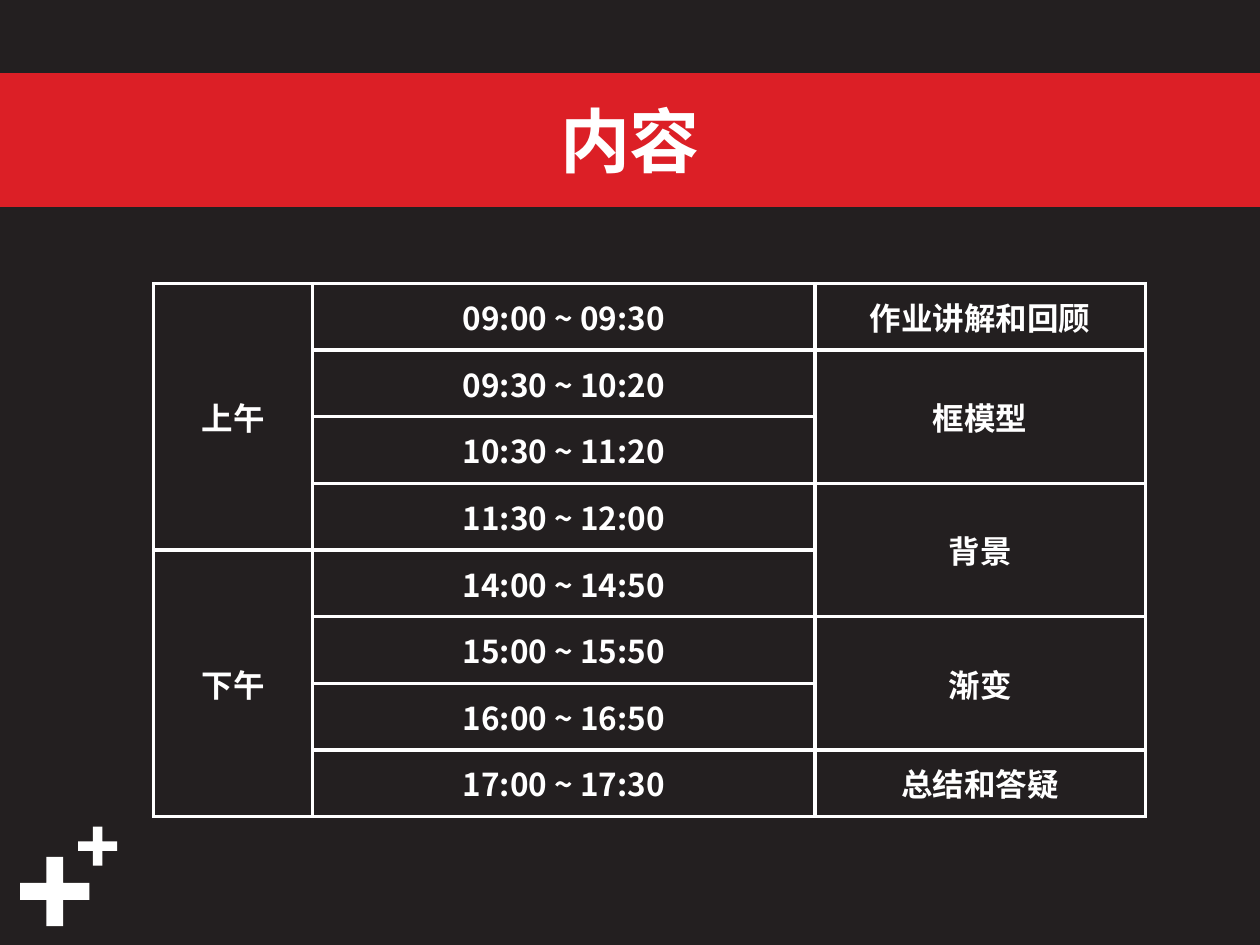
from dataclasses import dataclass

from lxml import etree
from pptx import Presentation
from pptx.dml.color import RGBColor
from pptx.enum import shapes, text
from pptx.oxml.ns import qn
from pptx.util import Inches, Pt


@dataclass(frozen=True)
class Theme:
    font: str = "Noto Sans CJK SC"
    dark: str = "231F20"
    red: str = "DC1F26"
    white: str = "FFFFFF"
    title_size: int = 40
    cell_size: int = 18
    border: float = 2.25


THEME = Theme()
ROW_HEIGHT = 0.529
COLUMN_WIDTHS = (1.26, 3.99, 2.62)
# Each column lists its entries as (text, rows spanned)
SCHEDULE = (
    (("上午", 4), ("下午", 4)),
    tuple((time, 1) for time in (
        "09:00 ~ 09:30", "09:30 ~ 10:20", "10:30 ~ 11:20", "11:30 ~ 12:00",
        "14:00 ~ 14:50", "15:00 ~ 15:50", "16:00 ~ 16:50", "17:00 ~ 17:30")),
    (("作业讲解和回顾", 1), ("框模型", 2), ("背景", 2), ("渐变", 2),
     ("总结和答疑", 1)),
)


def color(value):
    return RGBColor.from_string(value)


def set_text(tf, content, size):
    """Write one centred bold white line."""
    tf.text = content
    p = tf.paragraphs[0]
    p.alignment = text.PP_ALIGN.CENTER
    for r in p.runs:
        r.font.name = THEME.font
        r.font.size = Pt(size)
        r.font.bold = True
        r.font.color.rgb = color(THEME.white)
        ea = etree.SubElement(r.font._element, qn("a:ea"))
        ea.set("typeface", THEME.font)


def add_plus(slide, left, top, size):
    sp = slide.shapes.add_shape(
        shapes.MSO_SHAPE.CROSS, Inches(left), Inches(top),
        Inches(size), Inches(size))
    sp.adjustments[0] = 0.378
    sp.shadow.inherit = False
    sp.fill.solid()
    sp.fill.fore_color.rgb = color(THEME.white)
    sp.line.fill.background()


def set_title(slide, content):
    sp = slide.shapes.title
    sp.left, sp.top = Inches(0), Inches(0.6)
    sp.width, sp.height = Inches(10), Inches(1.02)
    sp.fill.solid()
    sp.fill.fore_color.rgb = color(THEME.red)
    sp.line.color.rgb = color(THEME.red)
    sp.line.width = Pt(3)
    tf = sp.text_frame
    tf.auto_size = text.MSO_AUTO_SIZE.NONE
    tf.vertical_anchor = text.MSO_ANCHOR.MIDDLE
    set_text(tf, content, THEME.title_size)


def set_borders(cell):
    tc_pr = cell._tc.get_or_add_tcPr()
    for i, side in enumerate(("lnL", "lnR", "lnT", "lnB")):
        ln = etree.Element(qn(f"a:{side}"), w=str(Pt(THEME.border)))
        fill = etree.SubElement(ln, qn("a:solidFill"))
        etree.SubElement(fill, qn("a:srgbClr"), val=THEME.white)
        tc_pr.insert(i, ln)


def add_schedule(slide, left, top):
    rows = sum(span for _, span in SCHEDULE[0])
    table = slide.shapes.add_table(
        rows, len(SCHEDULE), Inches(left), Inches(top),
        Inches(sum(COLUMN_WIDTHS)), Inches(rows * ROW_HEIGHT)).table
    table.first_row = table.horz_banding = False
    for column, width in zip(table.columns, COLUMN_WIDTHS):
        column.width = Inches(width)
    for row in table.rows:
        row.height = Inches(ROW_HEIGHT)
    for cell in table.iter_cells():
        cell.fill.background()
        cell.vertical_anchor = text.MSO_ANCHOR.MIDDLE
        set_borders(cell)

    # Entries, merged down over the rows they span
    for col, entries in enumerate(SCHEDULE):
        row = 0
        for content, span in entries:
            cell = table.cell(row, col)
            if span > 1:
                cell.merge(table.cell(row + span - 1, col))
            set_text(cell.text_frame, content, THEME.cell_size)
            row += span


def main():
    prs = Presentation()
    prs.slide_width, prs.slide_height = Inches(10), Inches(7.5)
    slide = prs.slides.add_slide(prs.slide_layouts[5])
    slide.background.fill.solid()
    slide.background.fill.fore_color.rgb = color(THEME.dark)

    # Corner decoration
    add_plus(slide, 0.16, 6.8, 0.55)
    add_plus(slide, 0.62, 6.56, 0.31)

    # Title band and timetable
    set_title(slide, "内容")
    add_schedule(slide, 1.22, 2.25)

    prs.save("out.pptx")


main()
